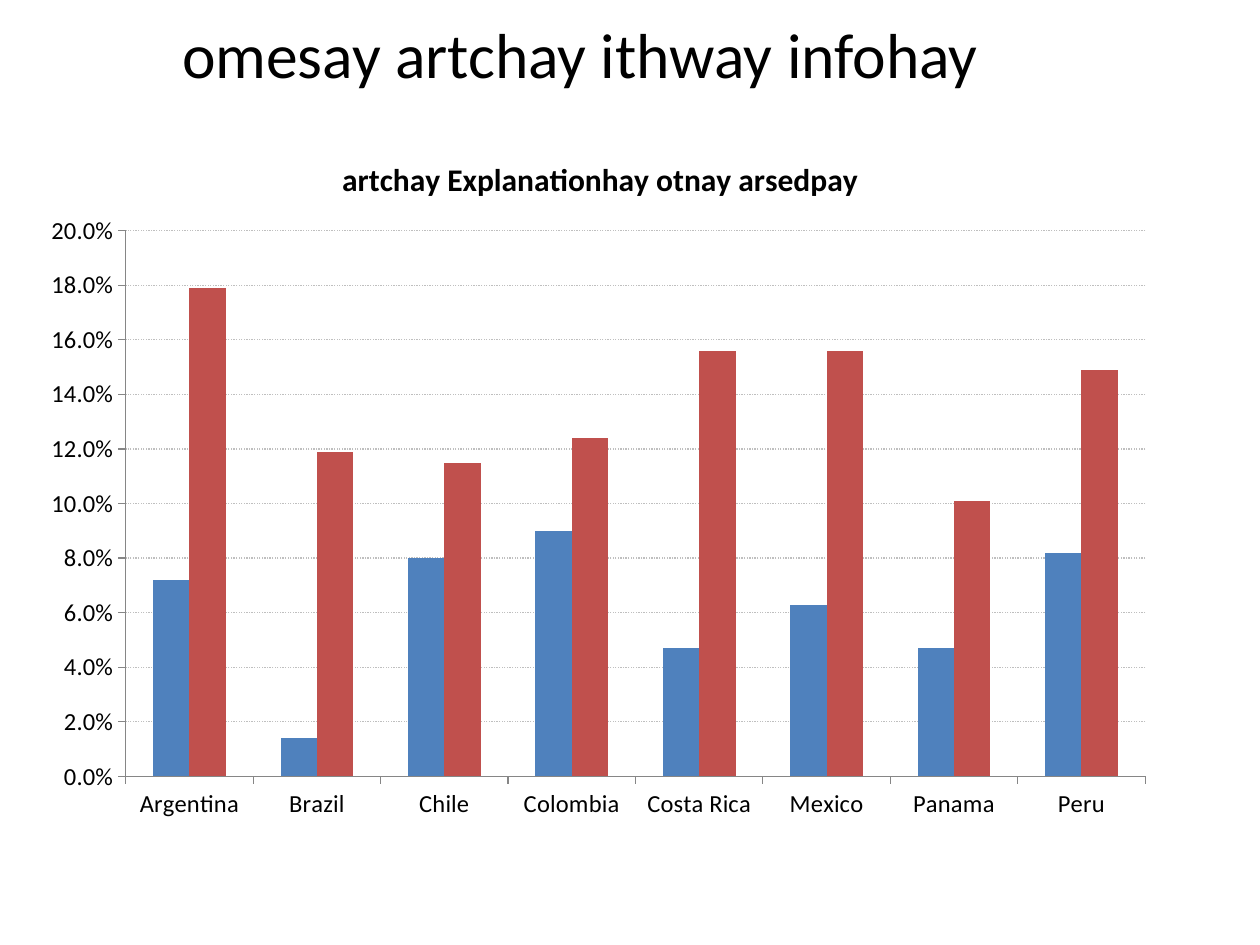
from dataclasses import dataclass

from lxml import etree
from pptx import Presentation
from pptx.chart.data import CategoryChartData
from pptx.dml.color import RGBColor
from pptx.enum.chart import XL_CHART_TYPE as ChartType, XL_TICK_MARK as Tick
from pptx.enum.dml import MSO_LINE as Dash
from pptx.enum.text import MSO_ANCHOR as Anchor, MSO_AUTO_SIZE as AutoSize, PP_ALIGN as Align
from pptx.oxml.ns import qn
from pptx.util import Inches, Pt


@dataclass(frozen=True)
class Theme:
    """Font, colours and type sizes."""
    font: str = "Calibri"
    text: RGBColor = RGBColor(0, 0, 0)
    axis: RGBColor = RGBColor(0x86, 0x86, 0x86)
    grid: RGBColor = RGBColor(0xBF, 0xBF, 0xBF)
    series: tuple = (RGBColor(0x4F, 0x81, 0xBD), RGBColor(0xC0, 0x50, 0x4D))
    title: Pt = Pt(36.3)
    chart_title: Pt = Pt(18)
    label: Pt = Pt(14)


THEME = Theme()
COUNTRIES = ["Argentina", "Brazil", "Chile", "Colombia", "Costa Rica", "Mexico", "Panama", "Peru"]
SERIES = {
    "Series 1": [7.2, 1.4, 8, 9, 4.7, 6.3, 4.7, 8.2],
    "Series 2": [17.9, 11.9, 11.5, 12.4, 15.6, 15.6, 10.1, 14.9],
}


def style_font(font, size, bold=False):
    """Apply the theme font at the given size."""
    font.name, font.size, font.bold = THEME.font, size, bold
    font.color.rgb = THEME.text


def add_title(s, text, box):
    """Place and format the title placeholder."""
    sp = s.shapes.title
    sp.left, sp.top, sp.width, sp.height = box
    tf = sp.text_frame
    tf.word_wrap, tf.auto_size = True, AutoSize.NONE
    tf.vertical_anchor = Anchor.MIDDLE
    p = tf.paragraphs[0]
    p.alignment = Align.CENTER
    r = p.add_run()
    r.text = text
    style_font(r.font, THEME.title)


def set_layout(parent, **fractions):
    """Fix a chart part at fractions of the chart box."""
    layout = parent.find(qn("c:layout"))
    if layout is None:
        layout = etree.Element(qn("c:layout"))
        parent.insert(1 if parent.tag == qn("c:title") else 0, layout)
    manual = etree.SubElement(layout, qn("c:manualLayout"))
    values = {"xMode": "edge", "yMode": "edge", **fractions}
    if "w" in fractions:
        values = {"layoutTarget": "inner", **values}
    for tag, value in values.items():
        etree.SubElement(manual, qn(f"c:{tag}")).set("val", str(value))


def style_axis(axis):
    """Format an axis line, its ticks and its labels."""
    axis.major_tick_mark, axis.minor_tick_mark = Tick.OUTSIDE, Tick.NONE
    axis.format.line.color.rgb = THEME.axis
    axis.format.line.width = Pt(0.75)
    style_font(axis.tick_labels.font, THEME.label)


def add_country_chart(s, title, box):
    """Add the clustered columns by country."""
    data = CategoryChartData()
    data.categories = COUNTRIES
    for name, values in SERIES.items():
        data.add_series(name, values)
    chart = s.shapes.add_chart(ChartType.COLUMN_CLUSTERED, *box, data).chart
    style_font(chart.font, Pt(10))
    chart.has_legend = False

    r = chart.chart_title.text_frame.paragraphs[0].add_run()
    r.text = title
    style_font(r.font, THEME.chart_title, bold=True)
    chart.chart_title.include_in_layout = False
    root = chart.element
    set_layout(root.find(".//" + qn("c:title")), x=0.27, y=0.04)
    set_layout(root.find(".//" + qn("c:plotArea")), x=0.085, y=0.151, w=0.895, h=0.768)

    plot = chart.plots[0]
    plot.gap_width, plot.overlap, plot.vary_by_categories = 150, 0, False
    for series, color in zip(plot.series, THEME.series):
        series.format.fill.solid()
        series.format.fill.fore_color.rgb = color
        series.invert_if_negative = False

    style_axis(chart.category_axis)
    axis = chart.value_axis
    style_axis(axis)
    axis.minimum_scale, axis.maximum_scale, axis.major_unit = 0, 20, 2
    axis.tick_labels.number_format = '0.0"%"'
    axis.tick_labels.number_format_is_linked = False
    line = axis.major_gridlines.format.line
    line.color.rgb, line.width, line.dash_style = THEME.grid, Pt(0.75), Dash.ROUND_DOT


def main():
    """Build and save the slide."""
    prs = Presentation()
    prs.slide_width, prs.slide_height = Inches(10), Inches(7.5)
    s = prs.slides.add_slide(prs.slide_layouts[5])
    add_title(s, "omesay artchay ithway infohay",
              [Inches(v) for v in (0.22, 0.11, 8.77, 0.62)])
    add_country_chart(s, "artchay Explanationhay otnay arsedpay",
                      [Inches(v) for v in (0.23, 0.98, 9.04, 5.64)])
    prs.save("out.pptx")


if __name__ == "__main__":
    main()
